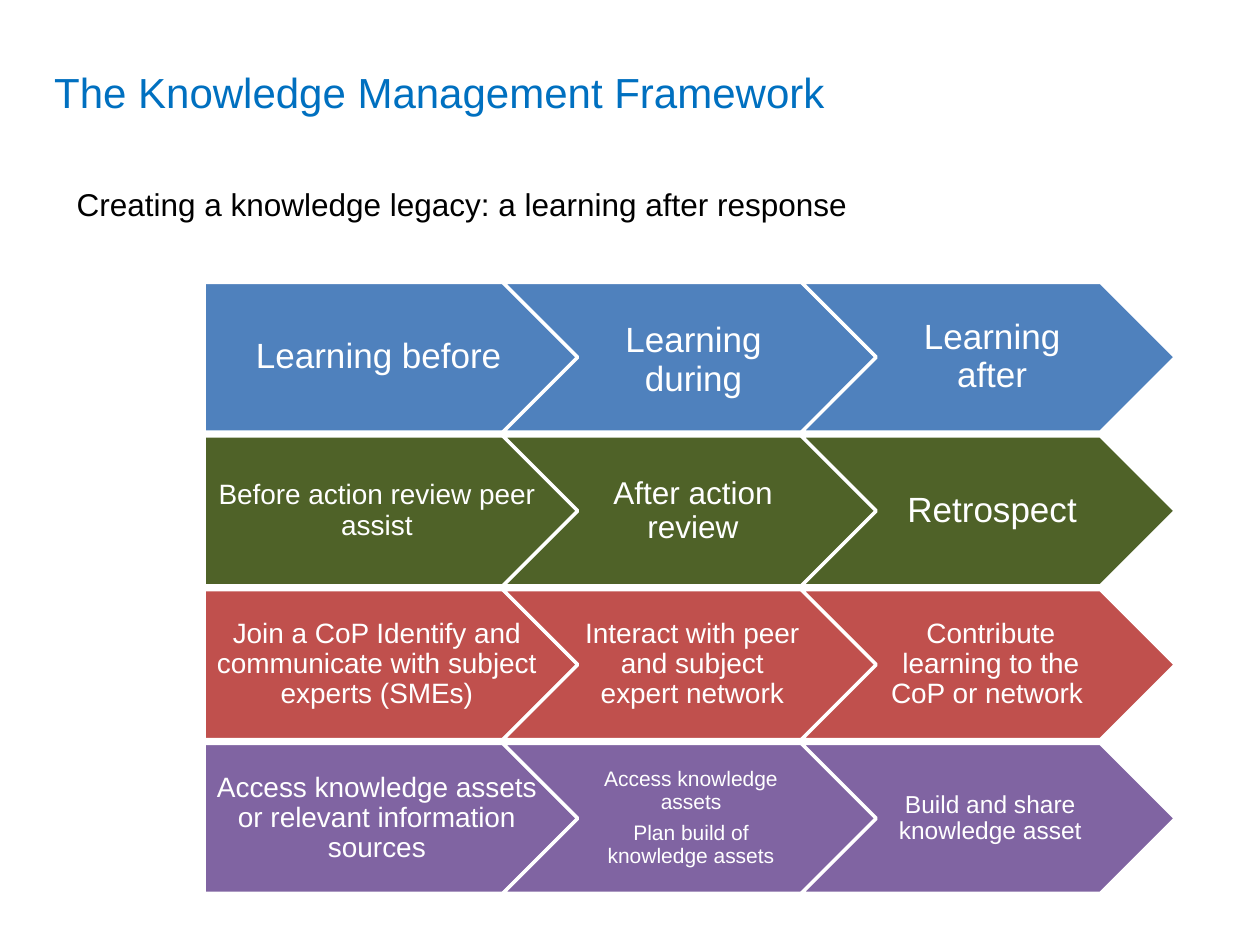
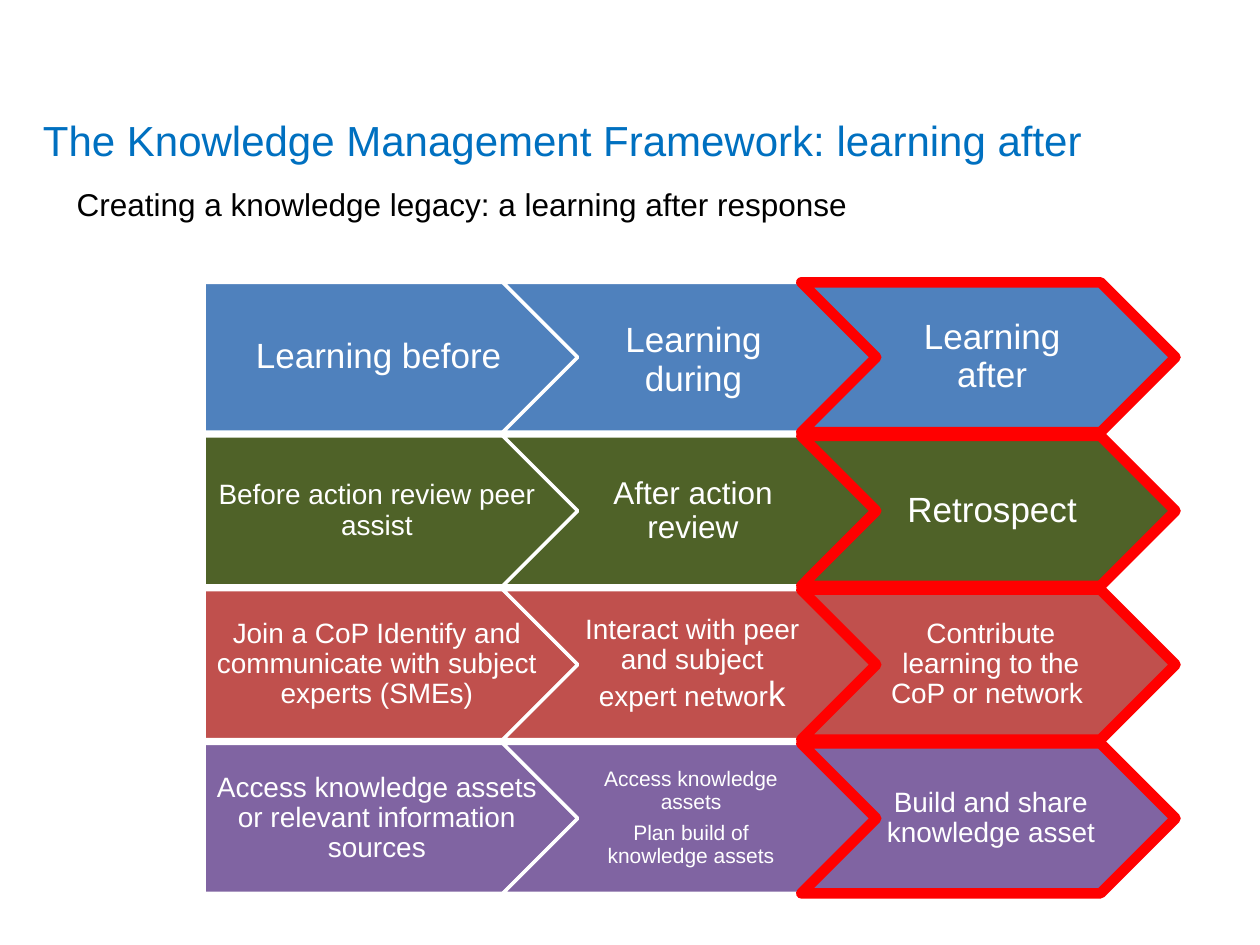
from copy import deepcopy

from pptx import Presentation
from pptx.dml.color import RGBColor
from pptx.enum.shapes import MSO_SHAPE
from pptx.enum.text import MSO_ANCHOR as ANCHOR, MSO_AUTO_SIZE as AUTO_SIZE, PP_ALIGN as ALIGN
from pptx.util import Pt

PX = 9144
FONT = "Arial"
TITLE_COLOR, TEXT_COLOR, WHITE, RED = "0070C0", "000000", "FFFFFF", "FF0000"
ROW_COLORS = ["4F81BD", "4F6228", "C0504D", "8064A2"]
TITLE_ONLY = 5

GRID_LEFT, GRID_TOP = 162, 224
COLUMN_STEP, ROW_STEP = 237, 122
ARROW_WIDTH, ARROW_HEIGHT = 297, 119


def color(hex_string):
    return RGBColor.from_string(hex_string)


def write_text(shape, paragraphs, hex_color, align=ALIGN.LEFT, anchor=ANCHOR.TOP,
               insets=(10, 5, 10, 5), line_spacing=None, space_ratio=0,
               auto_size=AUTO_SIZE.NONE):
    frame = shape.text_frame
    frame.word_wrap = True
    frame.auto_size = auto_size
    frame.vertical_anchor = anchor
    frame.margin_left, frame.margin_top, frame.margin_right, frame.margin_bottom = [
        inset * PX for inset in insets]
    for index, runs in enumerate(paragraphs):
        paragraph = frame.add_paragraph() if index else frame.paragraphs[0]
        paragraph.alignment = align
        if line_spacing:
            paragraph.line_spacing = line_spacing
        if space_ratio:
            paragraph.space_after = Pt(round(space_ratio * max(size for _, size in runs)))
        for text, size in runs:
            run = paragraph.add_run()
            run.text = text
            run.font.name = FONT
            run.font.size = Pt(size)
            run.font.color.rgb = color(hex_color)


framework_rows = [
    [
        [[("Learning before", 20)]],
        [[("Learning", 20), (" ", 24), ("during", 20)]],
        [[("Learning after", 20)]],
    ],
    [
        [[("Before action review peer assist", 16)]],
        [[("After action review", 18)]],
        [[("Retrospect", 20)]],
    ],
    [
        [[("Join a CoP Identify and communicate with subject experts (SMEs)", 16)]],
        [[("Interact with peer and subject expert network", 16)]],
        [[("Contribute learning to the CoP or network ", 16)]],
    ],
    [
        [[("Access knowledge assets or relevant information sources", 16)]],
        [[("Access knowledge assets", 12)], [("Plan build of knowledge assets", 12)]],
        [[("Build and share knowledge asset", 14)]],
    ],
]

learning_after_rows = deepcopy(framework_rows)
learning_after_rows[2][1] = [[("Interact with peer and subject expert networ", 16), ("k", 20)]]
learning_after_rows[3][2] = [[("Build and share knowledge asset", 16)]]

slides = [
    ("The Knowledge Management Framework", 33, 45, ALIGN.LEFT, framework_rows, None),
    ("The Knowledge Management Framework: learning after ", 1, 83, ALIGN.CENTER,
     learning_after_rows, 2),
]

presentation = Presentation()
presentation.slide_width = 1000 * PX
presentation.slide_height = 750 * PX

for title_text, title_left, title_top, title_align, rows, outlined_column in slides:
    slide = presentation.slides.add_slide(presentation.slide_layouts[TITLE_ONLY])

    title = slide.shapes.title
    title.left, title.top = title_left * PX, title_top * PX
    title.width, title.height = 900 * PX, 125 * PX
    write_text(title, [[(title_text, 24)]], TITLE_COLOR, align=title_align,
               anchor=ANCHOR.MIDDLE, insets=(10, 5, 10, 75))

    subtitle = slide.shapes.add_textbox(51 * PX, 142 * PX, 669 * PX, 40 * PX)
    write_text(subtitle, [[("Creating a knowledge legacy: a learning after response", 18)]],
               TEXT_COLOR, auto_size=AUTO_SIZE.SHAPE_TO_FIT_TEXT)

    for row, (cells, row_color) in enumerate(zip(rows, ROW_COLORS)):
        for column, paragraphs in enumerate(cells):
            outlined = column == outlined_column
            arrow = slide.shapes.add_shape(
                MSO_SHAPE.CHEVRON if column else MSO_SHAPE.PENTAGON,
                (GRID_LEFT + column * COLUMN_STEP) * PX,
                (GRID_TOP + row * ROW_STEP) * PX,
                ARROW_WIDTH * PX, ARROW_HEIGHT * PX)
            arrow.adjustments[0] = 0.5
            arrow.shadow.inherit = False
            arrow.fill.solid()
            arrow.fill.fore_color.rgb = color(row_color)
            arrow.line.color.rgb = color(RED if outlined else WHITE)
            arrow.line.width = Pt(6 if outlined else 2)

            size = paragraphs[0][0][1]
            left_inset = int(size * (0.4 if column else 0.6))
            edge_inset = round(size * 0.3)
            write_text(arrow, paragraphs, WHITE, align=ALIGN.CENTER, anchor=ANCHOR.MIDDLE,
                       insets=(left_inset, edge_inset, 2, edge_inset),
                       line_spacing=0.9, space_ratio=0.42)

presentation.save("out.pptx")
